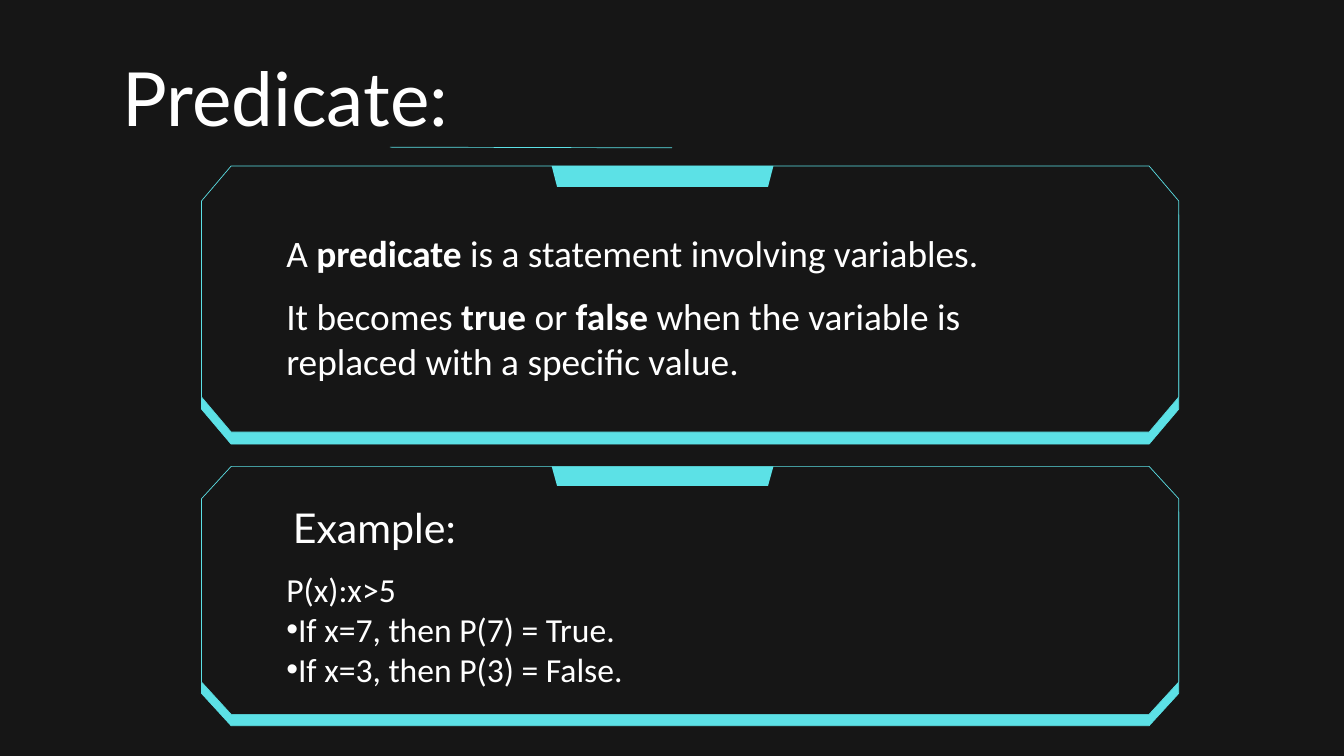
from typing import NamedTuple

from lxml import etree
from pptx import Presentation
from pptx import util as u
from pptx.dml.color import RGBColor
from pptx.enum import shapes, text
from pptx.oxml.ns import qn

DARK = RGBColor(0x16, 0x16, 0x16)
CYAN = RGBColor(0x5C, 0xE1, 0xE6)
WHITE = RGBColor(0xFF, 0xFF, 0xFF)

LEFT, RIGHT = 3, 17.54      # panel sides
CUT = 0.44                  # width of a cut corner
TEXT_LEFT, TEXT_WIDTH = 4.26, 12.02


class Panel(NamedTuple):
    top: float
    face_height: float
    base_drop: float        # base top below face top
    base_height: float
    corner: float           # height of a cut corner
    tab_height: float


class Run(NamedTuple):
    text: str
    bold: bool = False


class Style(NamedTuple):
    font: str
    size: int
    inset: float = 0


PANELS = [
    Panel(2.47, 3.96, 0.21, 3.93, 0.52, 0.31),
    Panel(6.94, 3.69, 0.20, 3.66, 0.48, 0.29),
]
TITLE = Style("Lato", 80)
HEADING = Style("Lato", 44, 0.1)
STATEMENT = Style("Calibri", 40)
EXAMPLE = Style("Calibri", 36)


def add_outline(s, points: list[tuple[float, float]], fill: RGBColor, lined: bool) -> None:
    pts = [(u.Inches(x), u.Inches(y)) for x, y in points]
    builder = s.shapes.build_freeform(*pts[0])
    builder.add_line_segments(pts[1:], close=True)
    sp = builder.convert_to_shape()
    sp.shadow.inherit = False
    sp.fill.solid()
    sp.fill.fore_color.rgb = fill
    if lined:
        sp.line.color.rgb = CYAN
        sp.line.width = u.Pt(0.75)
    else:
        sp.line.fill.background()


def add_plate(s, top: float, height: float, corner: float, fill: RGBColor) -> None:
    bottom = top + height
    add_outline(s, [
        (RIGHT - CUT, top), (LEFT + CUT, top), (LEFT, top + corner),
        (LEFT, bottom - corner), (LEFT + CUT, bottom), (RIGHT - CUT, bottom),
        (RIGHT, bottom - corner), (RIGHT, top + corner),
    ], fill, True)


def add_panel(s, panel: Panel) -> None:
    add_plate(s, panel.top + panel.base_drop, panel.base_height, panel.corner, CYAN)
    add_plate(s, panel.top, panel.face_height, panel.corner, DARK)
    tab_bottom = panel.top + panel.tab_height
    add_outline(s, [(8.29, tab_bottom), (11.43, tab_bottom),
                    (11.51, panel.top), (8.21, panel.top)], CYAN, False)


def write(sp, paragraphs: list[list[Run]], style: Style) -> None:
    tf = sp.text_frame
    inset = u.Inches(style.inset)
    frame_format = {
        "word_wrap": True, "auto_size": text.MSO_AUTO_SIZE.NONE,
        "vertical_anchor": text.MSO_ANCHOR.TOP,
        "margin_left": inset, "margin_right": inset,
        "margin_top": inset / 2, "margin_bottom": inset / 2,
    }
    for name, value in frame_format.items():
        setattr(tf, name, int(value) if name.startswith("margin") else value)
    for i, runs in enumerate(paragraphs):
        p = tf.paragraphs[0] if i == 0 else tf.add_paragraph()
        p.alignment = text.PP_ALIGN.LEFT
        p.space_before = u.Pt(0)
        for run in runs:
            r = p.add_run()
            r.text = run.text
            font_format = {"name": style.font, "size": u.Pt(style.size), "bold": run.bold}
            for name, value in font_format.items():
                setattr(r.font, name, value)
            r.font.color.rgb = WHITE


def set_bullet(p, char: str | None) -> None:
    pPr = p._p.get_or_add_pPr()
    pPr.set("marL", "0")
    pPr.set("indent", "0")
    if char:
        etree.SubElement(pPr, qn("a:buChar")).set("char", char)
    else:
        etree.SubElement(pPr, qn("a:buNone"))


def place(sp, left: float, top: float, width: float, height: float) -> None:
    box = {"left": left, "top": top, "width": width, "height": height}
    for name, value in box.items():
        setattr(sp, name, u.Inches(value))


def add_text(s, box: tuple[float, float, float, float], runs: list[Run], style: Style) -> None:
    write(s.shapes.add_textbox(*map(u.Inches, box)), [runs], style)


def main() -> None:
    prs = Presentation()
    prs.slide_width, prs.slide_height = u.Inches(20), u.Inches(11.25)
    s = prs.slides.add_slide(prs.slide_layouts[1])
    s.background.fill.solid()
    s.background.fill.fore_color.rgb = DARK

    # Title and the rule under it
    title = s.shapes.title
    place(title, 1.82, 0.97, 10.16, 1.2)
    write(title, [[Run("Predicate:")]], TITLE)
    title.text_frame.paragraphs[0].line_spacing = u.Pt(82.2)
    rule = s.shapes.add_connector(shapes.MSO_CONNECTOR.STRAIGHT, u.Inches(5.8),
                                  u.Inches(2.19), u.Inches(10), u.Inches(2.2))
    rule.line.color.rgb = CYAN
    rule.line.width = u.Pt(0.75)
    etree.SubElement(rule._element.spPr, qn("a:effectLst"))

    # Panels
    for panel in PANELS:
        add_panel(s, panel)

    # Definition
    add_text(s, (TEXT_LEFT, 3.43, TEXT_WIDTH, 0.67),
             [Run("A "), Run("predicate", True),
              Run(" is a statement involving variables.")], STATEMENT)
    add_text(s, (TEXT_LEFT, 4.36, TEXT_WIDTH, 1.35),
             [Run("It becomes "), Run("true", True), Run(" or "), Run("false", True),
              Run(" when the variable is replaced with a specific value.")], STATEMENT)

    # Example, with its list brought in front of the panels
    body = s.placeholders[1]
    place(body, TEXT_LEFT, 8.46, TEXT_WIDTH, 1.82)
    write(body, [[Run("P(x):x>5")], [Run("If x=7, then P(7) = True.")],
                 [Run("If x=3, then P(3) = False.")]], EXAMPLE)
    for p, char in zip(body.text_frame.paragraphs, (None, "•", "•")):
        set_bullet(p, char)
    body._element.getparent().append(body._element)
    add_text(s, (TEXT_LEFT, 7.43, 5.24, 0.84), [Run("Example:")], HEADING)

    prs.save("out.pptx")


if __name__ == "__main__":
    main()
